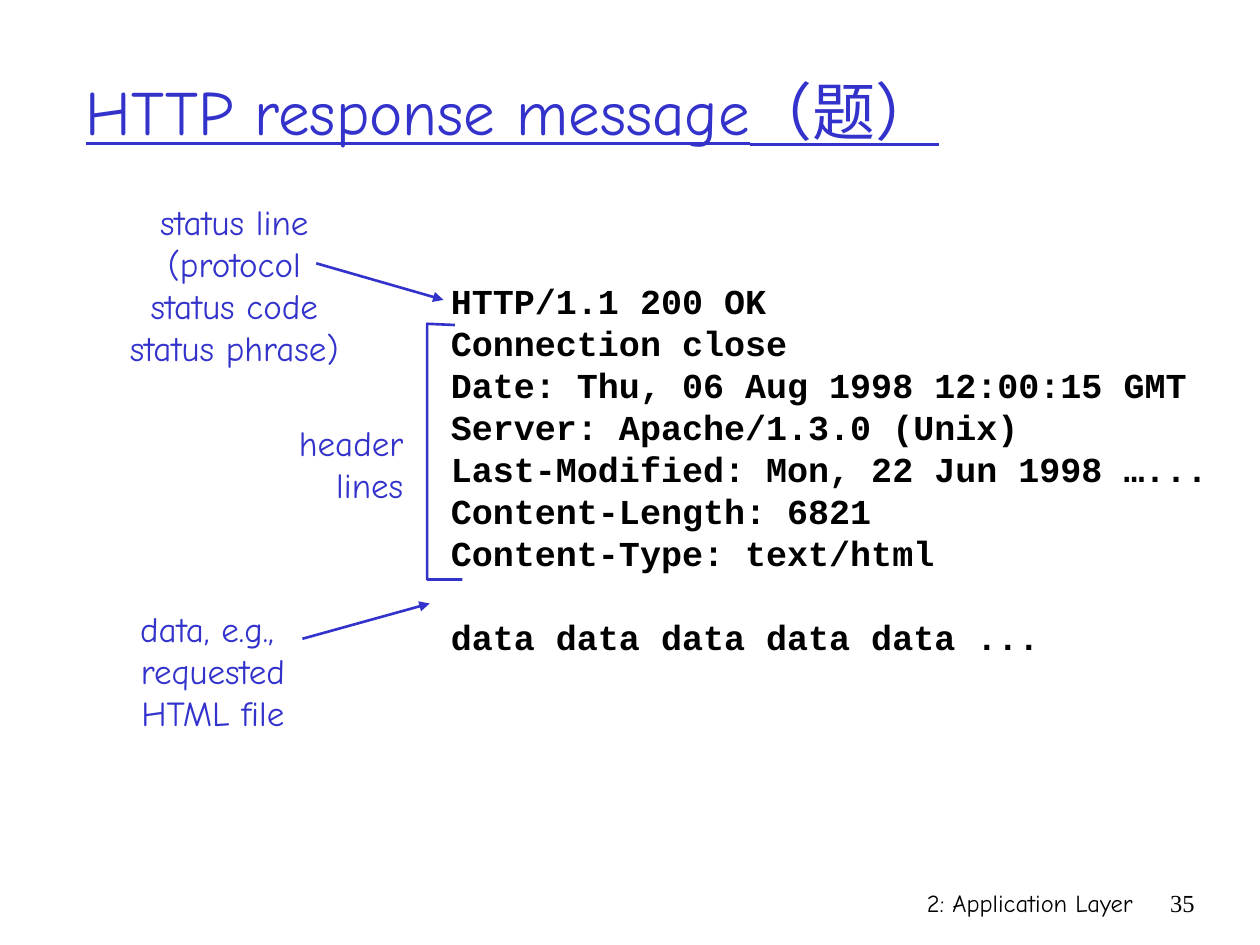
from dataclasses import dataclass

from lxml.etree import SubElement
from pptx import Presentation
from pptx.dml.color import RGBColor
from pptx.enum.text import MSO_ANCHOR, MSO_AUTO_SIZE, PP_ALIGN
from pptx.enum.shapes import MSO_CONNECTOR
from pptx.oxml.ns import qn
from pptx.slide import Slide
from pptx.util import Inches, Pt


@dataclass(frozen=True)
class Theme:
    accent: RGBColor = RGBColor(0x33, 0x33, 0xCC)
    ink: RGBColor = RGBColor(0, 0, 0)
    hand: str = "Comic Neue"
    mono: str = "Courier New"
    serif: str = "Times New Roman"
    title: Pt = Pt(36)
    body: Pt = Pt(20)
    footer: Pt = Pt(14)
    leading: Pt = Pt(24)
    stroke: Pt = Pt(1.5)


THEME = Theme()


@dataclass(frozen=True)
class Label:
    box: tuple[float, float, float, float]
    lines: tuple[str, ...]
    align: PP_ALIGN
    font: str = THEME.hand
    size: Pt = THEME.body
    color: RGBColor = THEME.accent
    bold: bool = False
    leading: Pt | None = THEME.leading


@dataclass(frozen=True)
class Arrow:
    start: tuple[float, float]
    end: tuple[float, float]


MESSAGE = Label(
    (3.48, 2.17, 6.37, 3.1),
    ("HTTP/1.1 200 OK",
     "Connection close",
     "Date: Thu, 06 Aug 1998 12:00:15 GMT",
     "Server: Apache/1.3.0 (Unix)",
     "Last-Modified: Mon, 22 Jun 1998 …...",
     "Content-Length: 6821",
     "Content-Type: text/html",
     "data data data data data ..."),
    PP_ALIGN.LEFT, THEME.mono, color=THEME.ink, bold=True)

NOTES = (
    Label((0.82, 1.54, 2.08, 1.43),
          ("status line", "(protocol", "status code", "status phrase)"), PP_ALIGN.CENTER),
    Label((2.19, 3.3, 1.11, 0.77), ("header", "lines"), PP_ALIGN.RIGHT),
    Label((0.92, 4.77, 1.54, 1.1), ("data, e.g., ", "requested", "HTML file"), PP_ALIGN.CENTER),
)

FOOTERS = (
    Label((5.92, 7, 3.17, 0.5), ("2: Application Layer",), PP_ALIGN.RIGHT,
          size=THEME.footer, color=THEME.ink, leading=None),
    Label((9.08, 7, 0.5, 0.5), ("35",), PP_ALIGN.RIGHT, THEME.serif,
          THEME.footer, THEME.ink, leading=None),
)

ARROWS = (Arrow((2.51, 2.09), (3.52, 2.38)), Arrow((2.4, 5.07), (3.41, 4.79)))
BRACKET = ((3.61, 2.58), (3.39, 2.57), (3.39, 4.6), (3.67, 4.6))


def add_title(s: Slide, text: str) -> None:
    sp = s.shapes.title
    sp.left, sp.top, sp.width, sp.height = map(Inches, (0.58, 0.25, 8.5, 1.25))
    tf = sp.text_frame
    tf.text = text
    tf.auto_size = MSO_AUTO_SIZE.NONE
    tf.vertical_anchor = MSO_ANCHOR.MIDDLE
    p = tf.paragraphs[0]
    p.alignment = PP_ALIGN.LEFT
    p.font.name, p.font.size = THEME.hand, THEME.title
    p.font.color.rgb = THEME.accent
    p.font.underline = True


def add_label(s: Slide, label: Label):
    tf = s.shapes.add_textbox(*map(Inches, label.box)).text_frame
    tf.word_wrap = label.leading is None
    tf.text = "\n".join(label.lines)
    for p in tf.paragraphs:
        p.alignment = label.align
        if label.leading is not None:
            p.line_spacing = label.leading
        p.font.name, p.font.size, p.font.bold = label.font, label.size, label.bold
        p.font.color.rgb = label.color
    return tf


def add_arrow(s: Slide, arrow: Arrow) -> None:
    line = s.shapes.add_connector(
        MSO_CONNECTOR.STRAIGHT, *map(Inches, arrow.start + arrow.end))
    line.line.color.rgb, line.line.width = THEME.accent, THEME.stroke
    SubElement(line.line._get_or_add_ln(), qn("a:tailEnd"), type="triangle")
    SubElement(line._element.spPr, qn("a:effectLst"))


def add_bracket(s: Slide, points: tuple[tuple[float, float], ...]) -> None:
    start, *rest = [(Inches(x), Inches(y)) for x, y in points]
    builder = s.shapes.build_freeform(*start)
    builder.add_line_segments(rest, close=False)
    sp = builder.convert_to_shape()
    sp.shadow.inherit = False
    sp.fill.background()
    sp.line.color.rgb, sp.line.width = THEME.accent, THEME.stroke


def main() -> None:
    prs = Presentation()
    prs.slide_width, prs.slide_height = Inches(10), Inches(7.5)
    s = prs.slides.add_slide(prs.slide_layouts[5])

    add_title(s, "HTTP response message（题）")

    # Message text, with one line of space ahead of the data
    add_label(s, MESSAGE).paragraphs[-1].space_before = THEME.leading

    # Annotations
    for label in NOTES:
        add_label(s, label)
    for arrow in ARROWS:
        add_arrow(s, arrow)
    add_bracket(s, BRACKET)

    # Footer and page number
    for label in FOOTERS:
        add_label(s, label)

    prs.save("out.pptx")


if __name__ == "__main__":
    main()
